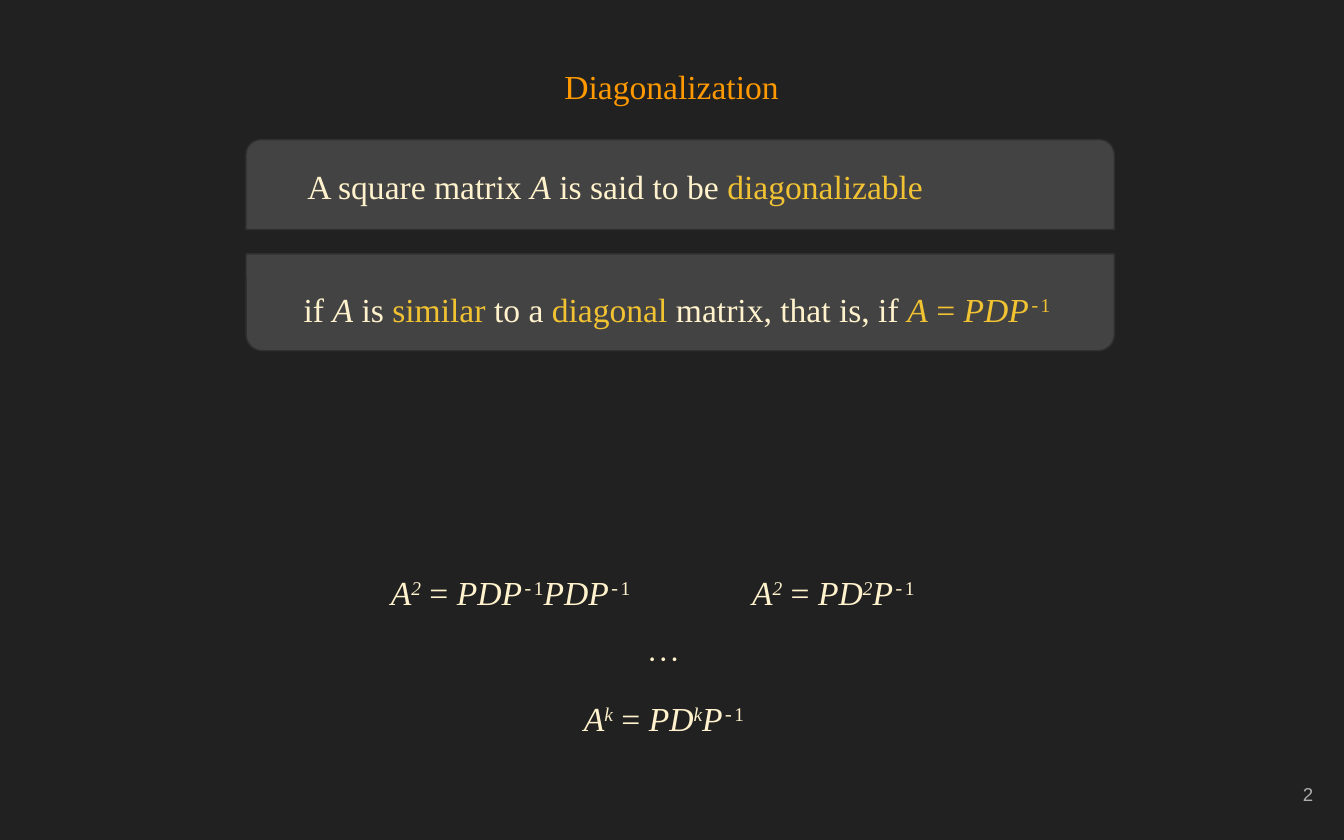
from pptx import Presentation
from pptx import util as u
from pptx.dml.color import RGBColor
from pptx.enum import shapes, text

CREAM, GOLD = "FFF2CC", "F1C232"
LEFT, MID, RIGHT = text.PP_ALIGN.LEFT, text.PP_ALIGN.CENTER, text.PP_ALIGN.RIGHT


def hue(code):
    return RGBColor.from_string(code)


def write(home, box, runs, align=MID, color=CREAM, size=18, face="Times New Roman",
          middle=True, line=1.15, after=0):
    """Style letters: i italic, s superscript, m monospace, g gold."""
    frame = home.add_textbox(*map(u.Cm, box)).text_frame
    frame.word_wrap = True
    frame.margin_left = frame.margin_right = u.Cm(0.25)
    frame.margin_top = frame.margin_bottom = u.Cm(0.25)
    frame.vertical_anchor = text.MSO_ANCHOR.MIDDLE if middle else text.MSO_ANCHOR.TOP
    par = frame.paragraphs[0]
    par.alignment, par.line_spacing, par.space_after = align, line, u.Pt(after)
    for words, style in runs:
        run = par.add_run()
        run.text = words
        font = run.font
        font.size = u.Pt(size)
        font.name = "Courier New" if "m" in style else face
        font.italic = "i" in style
        font.color.rgb = hue(GOLD if "g" in style else color)
        if "s" in style:
            run._r.get_or_add_rPr().set("baseline", "30000")


deck = Presentation()
deck.slide_width, deck.slide_height = u.Cm(25.4), u.Cm(15.88)
page = deck.slides.add_slide(deck.slide_layouts[6])
page.background.fill.solid()
page.background.fill.fore_color.rgb = hue("212121")

# Page number and title
write(page.shapes, (23.55, 14.4, 1.52, 1.22), [("2", "")], RIGHT, "ADADAD", 10,
      "Arial", line=1)
write(page.shapes, (0.86, 0.89, 23.67, 1.22), [("Diagonalization", "")],
      color="FF9900", middle=False, after=16)

# Powers of A
inv = [("-", "sm"), ("1", "s")]
square = [("A", "i"), ("2", "is"), (" = ", "")]
powers = [
    ((6.6, 10.01, 6.1, 2.26), square + [("PDP", "i")] + inv + [("PDP", "i")] + inv),
    ((12.7, 10.01, 6.1, 2.26), square + [("PD", "i"), ("2", "is"), ("P", "i")] + inv),
    ((9.5, 12.67, 6.1, 1.7), [("A", "i"), ("k", "is"), (" = ", ""), ("PD", "i"),
                              ("k", "is"), ("P", "i")] + inv),
]
for box, runs in powers:
    write(page.shapes, box, runs)

# Definition in two cards, the lower one turned upside down
claim = [("A square matrix ", ""), ("A", "i"), (" is said to be ", ""),
         ("diagonalizable", "g")]
test = [("if ", ""), ("A", "i"), (" is ", ""), ("similar ", "g"), ("to a ", ""),
        ("diagonal ", "g"), ("matrix, that is, if ", ""), ("A", "gi"), (" = ", "g"),
        ("PDP", "gi"), ("-", "gsm"), ("1", "gs")]
cards = [
    (2.64, 1.7, 0, (5.56, 2.77, 15.21, 1.42), claim, False, 16),
    (4.8, 1.83, 180, (5.49, 4.83, 14.71, 1.9), test, True, 0),
]
for top, high, turn, box, runs, middle, after in cards:
    group = page.shapes.add_group_shape().shapes
    card = group.add_shape(shapes.MSO_SHAPE.ROUND_2_SAME_RECTANGLE,
                           u.Cm(4.65), u.Cm(top), u.Cm(16.41), u.Cm(high))
    card.rotation = turn
    card.shadow.inherit = False
    card.fill.solid()
    card.fill.fore_color.rgb = hue("434343")
    card.line.color.rgb = hue("303030")
    card.line.width = u.Pt(0.75)
    write(group, box, runs, LEFT, middle=middle, after=after)

# Dots between the powers
write(page.shapes, (11.56, 11.89, 1.96, 0.99), [("⋯", "")], line=1, after=16)

deck.save("out.pptx")
